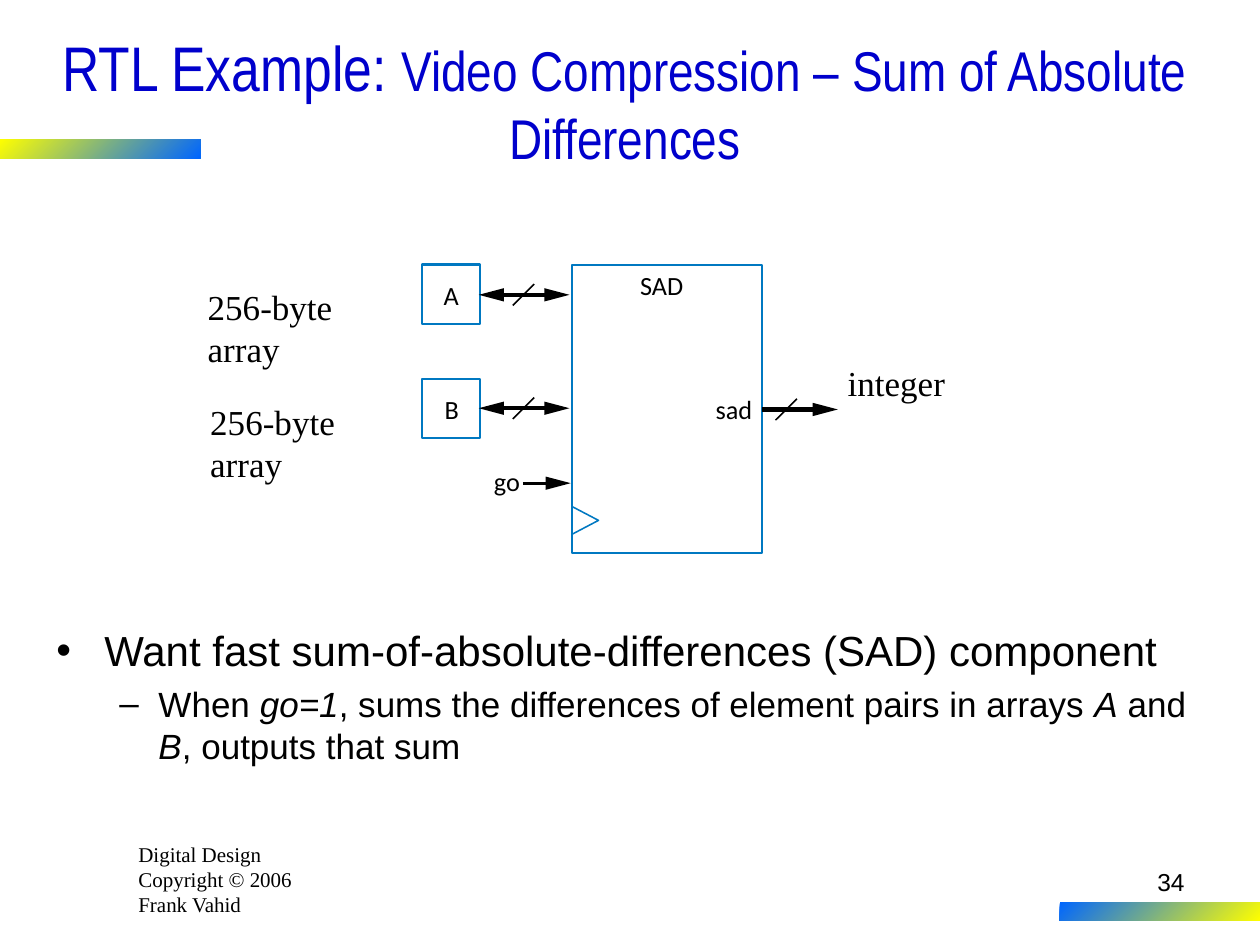
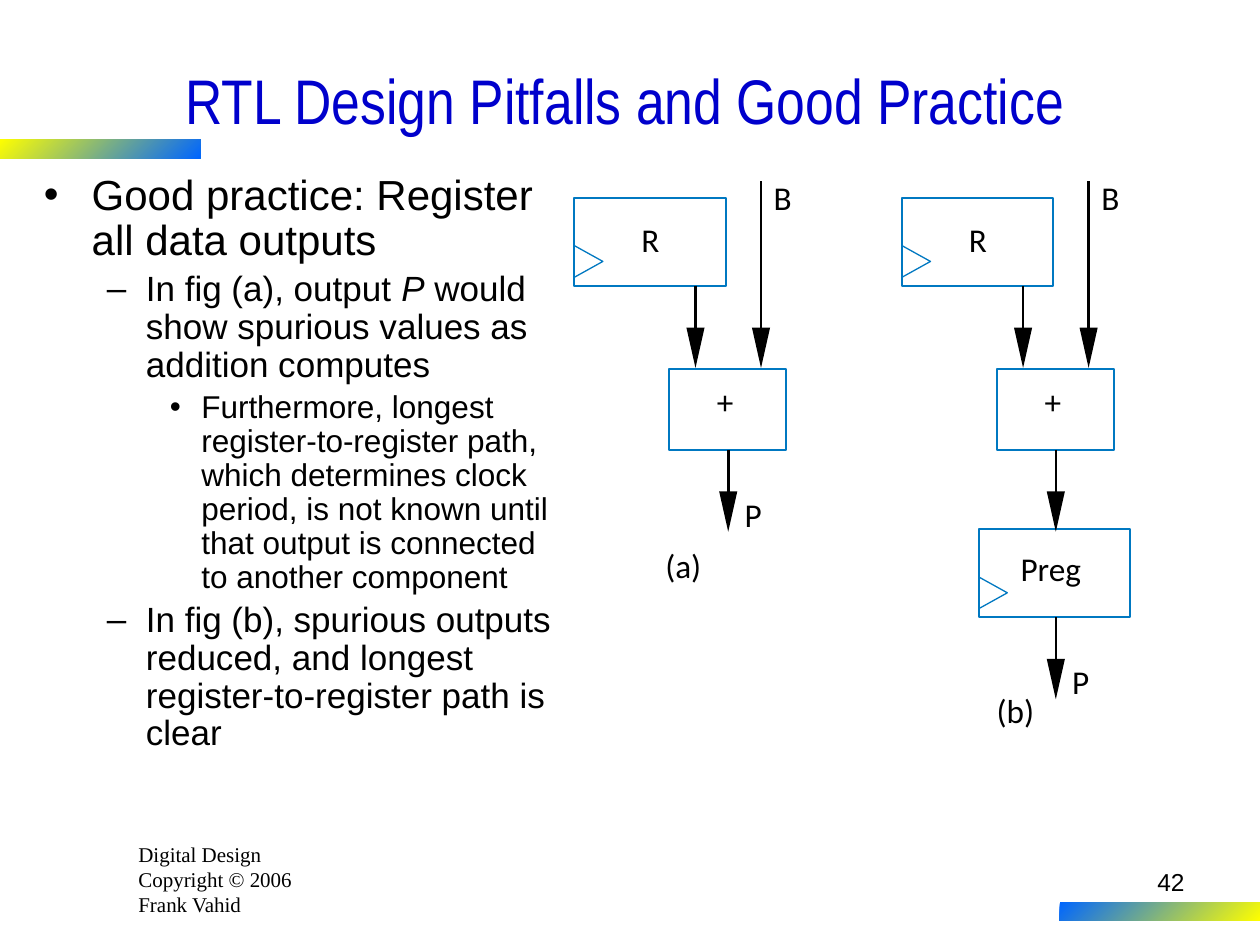
from dataclasses import dataclass
from typing import Any, NamedTuple

from lxml import etree
from pptx import Presentation
from pptx.dml.color import RGBColor
from pptx.enum.shapes import MSO_CONNECTOR, MSO_SHAPE
from pptx.enum.text import MSO_ANCHOR, MSO_AUTO_SIZE, PP_ALIGN
from pptx.oxml.ns import qn
from pptx.util import Inches, Pt

STRAIGHT = MSO_CONNECTOR.STRAIGHT
RECTANGLE = MSO_SHAPE.RECTANGLE
MIDDLE = MSO_ANCHOR.MIDDLE
NO_FIT = MSO_AUTO_SIZE.NONE
LEFT, CENTER, RIGHT = PP_ALIGN.LEFT, PP_ALIGN.CENTER, PP_ALIGN.RIGHT
TITLE_ONLY = 5
WIDTH, HEIGHT = Inches(10), Inches(7.5)
COLUMN, ROW = WIDTH // 100, HEIGHT // 75


@dataclass(frozen=True)
class Theme:
    ink: RGBColor = RGBColor(0, 0, 0)
    title: RGBColor = RGBColor(0x00, 0x00, 0xCC)
    outline: RGBColor = RGBColor(0x00, 0x78, 0xC1)
    yellow: RGBColor = RGBColor(0xFF, 0xFF, 0x00)
    blue: RGBColor = RGBColor(0x00, 0x66, 0xFF)
    title_font: str = "Arial Narrow"
    body_font: str = "Arial"
    figure_font: str = "Calibri"
    serif_font: str = "Times New Roman"
    title_sizes: tuple[int, ...] = (36, 32)
    body_sizes: tuple[int, ...] = (24, 20, 18)
    note_size: int = 20
    footer_size: int = 12
    number_size: int = 14


class Area(NamedTuple):
    left: float
    top: float
    width: float
    height: float


class Level(NamedTuple):
    margin: float
    hanging: float
    bullet: str


class Label(NamedTuple):
    text: str
    left: float
    top: float
    width: float


class Bullet(NamedTuple):
    level: int
    spans: tuple[str, ...]


class Point(NamedTuple):
    x: float
    y: float


@dataclass(frozen=True)
class FigureStyle:
    size: int
    outline: float
    clock_line: float
    clock_width: float
    clock_height: float
    clock_gap: float
    head_length: float
    head_half: float


THEME = Theme()
LEVELS = (Level(0.38, 0.38, "•"), Level(0.81, 0.31, "–"), Level(1.25, 0.25, "•"))
SAD_STYLE = FigureStyle(15, 1.25, 0.88, 2.1, 2.2, 1.5, 2, 0.53)
DATAPATH_STYLE = FigureStyle(19, 1.13, 0.75, 2.25, 2.5, 0.7, 3.2, 0.72)
BUS_LINE, GO_LINE, SLASH_LINE, WIRE_LINE = 2.38, 1.63, 0.88, 1.5
PATH_PITCH, REGISTER_DROP = 26, 13.3


def scale(area: Area) -> tuple[int, int, int, int]:
    return (round(area.left * COLUMN), round(area.top * ROW),
            round(area.width * COLUMN), round(area.height * ROW))


def apply_format(target: Any, values: dict[str, Any]) -> None:
    for name, value in values.items():
        setattr(target, name, value)


def add_span(para: Any, text: str, font: str, size: float,
             color: RGBColor = THEME.ink, italic: bool = False) -> None:
    span = para.add_run()
    span.text = text
    apply_format(span.font, {"name": font, "size": Pt(size), "italic": italic})
    span.font.color.rgb = color


def add_text(page: Any, area: Area, lines: tuple[str, ...], font: str, size: float,
             align: Any = LEFT, wrap: bool = True, inset: bool = True) -> None:
    frame = page.shapes.add_textbox(*scale(area)).text_frame
    apply_format(frame, {"word_wrap": wrap, "auto_size": NO_FIT})
    if not inset:
        apply_format(frame, {f"margin_{side}": 0
                             for side in ("left", "top", "right", "bottom")})
    for index, line in enumerate(lines):
        para = frame.add_paragraph() if index else frame.paragraphs[0]
        para.alignment = align
        add_span(para, line, font, size)


def add_labels(page: Any, labels: list[Label], style: FigureStyle) -> None:
    for label in labels:
        area = Area(label.left, label.top, label.width, style.size / 6)
        add_text(page, area, (label.text,), THEME.figure_font, style.size,
                 wrap=False, inset=False)


def add_bullets(page: Any, area: Area, bullets: list[Bullet], spacing: float) -> None:
    frame = page.shapes.add_textbox(*scale(area)).text_frame
    apply_format(frame, {"word_wrap": True, "auto_size": NO_FIT})
    for index, bullet in enumerate(bullets):
        para = frame.add_paragraph() if index else frame.paragraphs[0]
        level, size = LEVELS[bullet.level], THEME.body_sizes[bullet.level]
        properties = para._p.get_or_add_pPr()
        properties.set("marL", str(Inches(level.margin)))
        properties.set("indent", str(-Inches(level.hanging)))
        etree.SubElement(properties, qn("a:buFont")).set("typeface", THEME.body_font)
        etree.SubElement(properties, qn("a:buChar")).set("char", level.bullet)
        apply_format(para, {"level": bullet.level, "line_spacing": spacing,
                            "space_before": Pt(size * 0.2 if index else 0)})
        for order, text in enumerate(bullet.spans):
            add_span(para, text, THEME.body_font, size, italic=order % 2 == 1)


def add_band(page: Any, area: Area, colors: tuple[RGBColor, RGBColor]) -> None:
    band = page.shapes.add_shape(RECTANGLE, *scale(area))
    band.shadow.inherit = False
    band.line.fill.background()
    band.fill.gradient()
    band.fill.gradient_angle = 315
    for stop, position, color in zip(band.fill.gradient_stops, (0, 1), colors):
        stop.position = position
        stop.color.rgb = color


def add_page(deck: Any, title: tuple[str, ...], number: int) -> Any:
    page = deck.slides.add_slide(deck.slide_layouts[TITLE_ONLY])
    add_text(page, Area(10, 66.3, 16.7, 7),
             ("Digital Design", "Copyright © 2006", "Frank Vahid"),
             THEME.serif_font, THEME.footer_size)
    add_band(page, Area(0, 11.05, 15.9, 1.5), (THEME.yellow, THEME.blue))
    add_band(page, Area(84.1, 71.6, 15.9, 1.5), (THEME.blue, THEME.yellow))
    add_text(page, Area(74.2, 68.3, 20.8, 5), (str(number),),
             THEME.body_font, THEME.number_size, RIGHT)
    box = page.shapes.title
    edges = scale(Area(2.5, 3.3, 94.2, 9.2))
    apply_format(box, dict(zip(("left", "top", "width", "height"), edges)))
    apply_format(box.text_frame, {"vertical_anchor": MIDDLE, "word_wrap": True,
                                  "auto_size": NO_FIT})
    para = box.text_frame.paragraphs[0]
    para.alignment = CENTER
    for text, size in zip(title, THEME.title_sizes):
        add_span(para, text, THEME.title_font, size, THEME.title)
    return page


def add_line(page: Any, start: Point, end: Point, width: float) -> None:
    line = page.shapes.add_connector(
        STRAIGHT, round(start.x * COLUMN), round(start.y * ROW),
        round(end.x * COLUMN), round(end.y * ROW))
    line.line.width = Pt(width)
    line.line.color.rgb = THEME.ink
    etree.SubElement(line._element.spPr, qn("a:effectLst"))


def add_outline(page: Any, points: list[Point], close: bool) -> Any:
    corners = [(round(point.x * COLUMN), round(point.y * ROW)) for point in points]
    builder = page.shapes.build_freeform(*corners[0])
    builder.add_line_segments(corners[1:], close=close)
    shape = builder.convert_to_shape()
    shape.shadow.inherit = False
    return shape


def add_arrow(page: Any, start: Point, end: Point, width: float,
              style: FigureStyle, double: bool = False) -> None:
    length = abs(end.x - start.x) + abs(end.y - start.y)
    across, down = (end.x - start.x) / length, (end.y - start.y) / length
    overlap = style.head_length * 0.65
    tail = overlap if double else 0
    add_line(page, Point(start.x + across * tail, start.y + down * tail),
             Point(end.x - across * overlap, end.y - down * overlap), width)
    for tip, sign in ((end, 1), (start, -1))[:1 + double]:
        base = Point(tip.x - sign * across * style.head_length,
                     tip.y - sign * down * style.head_length)
        side = Point(down * style.head_half, across * style.head_half)
        head = add_outline(page, [tip, Point(base.x + side.x, base.y + side.y),
                                  Point(base.x - side.x, base.y - side.y)], True)
        head.fill.solid()
        head.fill.fore_color.rgb = THEME.ink
        head.line.fill.background()


def add_bus(page: Any, start: Point, end: Point, slash: float, double: bool) -> None:
    add_arrow(page, start, end, BUS_LINE, SAD_STYLE, double)
    add_line(page, Point(slash + 0.85, start.y - 0.85),
             Point(slash - 0.85, start.y + 0.85), SLASH_LINE)


def outline_only(shape: Any, width: float) -> None:
    shape.shadow.inherit = False
    shape.fill.background()
    shape.line.color.rgb = THEME.outline
    shape.line.width = Pt(width)


def add_block(page: Any, area: Area, style: FigureStyle, clocked: bool = False) -> None:
    outline_only(page.shapes.add_shape(RECTANGLE, *scale(area)), style.outline)
    if clocked:
        bottom = area.top + area.height - style.clock_gap
        mark = add_outline(page, [
            Point(area.left, bottom),
            Point(area.left + style.clock_width, bottom - style.clock_height / 2),
            Point(area.left, bottom - style.clock_height)], False)
        outline_only(mark, style.clock_line)


def add_sad_page(deck: Any) -> None:
    page = add_page(deck, ("RTL Example: ",
                           "Video Compression – Sum of Absolute Differences"), 34)
    add_bullets(page, Area(3.5, 49.1, 93, 16.5), [
        Bullet(0, ("Want fast sum-of-absolute-differences (SAD) component",)),
        Bullet(1, ("When ", "go=1", ", sums the differences of element pairs in arrays ",
                   "A", " and ", "B", ", outputs that sum"))], 1.0)
    add_block(page, Area(45.4, 21, 15.1, 22.9), SAD_STYLE, clocked=True)
    for top, bus, note_left in ((21, 23.4, 15.5), (30.1, 32.4, 15.7)):
        add_block(page, Area(33.5, top, 4.6, 4.7), SAD_STYLE)
        add_bus(page, Point(38, bus), Point(45.2, bus), 41.55, True)
        add_text(page, Area(note_left, top + 1.2, 17.5, 7), ("256-byte array",),
                 THEME.serif_font, THEME.note_size)
    add_bus(page, Point(60.5, 32.5), Point(66.5, 32.5), 62.4, False)
    add_arrow(page, Point(41.5, 38.35), Point(45.3, 38.35), GO_LINE, SAD_STYLE)
    add_labels(page, [Label("A", 35.2, 22.2, 1.5), Label("B", 35.3, 31.2, 1.4),
                      Label("go", 39.2, 36.9, 2.1), Label("SAD", 50.8, 21.4, 4.2),
                      Label("sad", 56.8, 31.2, 3.4)], SAD_STYLE)
    add_text(page, Area(66.3, 28.2, 11, 4.3), ("integer",),
             THEME.serif_font, THEME.note_size)


def add_datapath(page: Any, left: float, caption: Label, registered: bool) -> None:
    style = DATAPATH_STYLE
    drop = REGISTER_DROP if registered else 0
    add_block(page, Area(left, 15.7, 12, 7), style, clocked=True)
    add_block(page, Area(left + 7.5, 29.3, 9.3, 6.4), style)
    wires = [(9.6, 22.7, 29.2), (14.8, 14.4, 29.2), (12.2, 35.7, 42.2)]
    labels = [Label("R", 5.3, 17.4, 1.9), Label("+", 11.3, 30.3, 1.5),
              Label("B", 15.8, 14.1, 1.8), Label("P", 13.5, 39.2 + drop, 1.8), caption]
    if registered:
        add_block(page, Area(left + 6.1, 42, 12, 7), style, clocked=True)
        wires.append((12.2, 35.7 + drop, 42.2 + drop))
        labels.append(Label("Preg", 9.4, 43.5, 5.6))
    for shift, start, end in wires:
        add_arrow(page, Point(left + shift, start), Point(left + shift, end),
                  WIRE_LINE, style)
    add_labels(page, [label._replace(left=left + label.left) for label in labels], style)


def add_pitfalls_page(deck: Any) -> None:
    page = add_page(deck, ("RTL Design Pitfalls and Good Practice",), 42)
    add_bullets(page, Area(2.5, 13.3, 42.7, 51.6), [
        Bullet(0, ("Good practice: Register all data outputs",)),
        Bullet(1, ("In fig (a), output ", "P",
                   " would show spurious values as addition computes")),
        Bullet(2, ("Furthermore, longest register-to-register path, which determines "
                   "clock period, is not known until that output is connected to "
                   "another component",)),
        Bullet(1, ("In fig (b), spurious outputs reduced, and longest "
                   "register-to-register path is clear",))], 0.9)
    captions = (Label("(a)", 7.2, 43.3, 3.2), Label("(b)", 7.5, 54.8, 3.2))
    for index, caption in enumerate(captions):
        add_datapath(page, 45.6 + index * PATH_PITCH, caption, index == 1)


def main() -> None:
    deck = Presentation()
    apply_format(deck, {"slide_width": WIDTH, "slide_height": HEIGHT})
    add_sad_page(deck)
    add_pitfalls_page(deck)
    deck.save("out.pptx")


if __name__ == "__main__":
    main()
